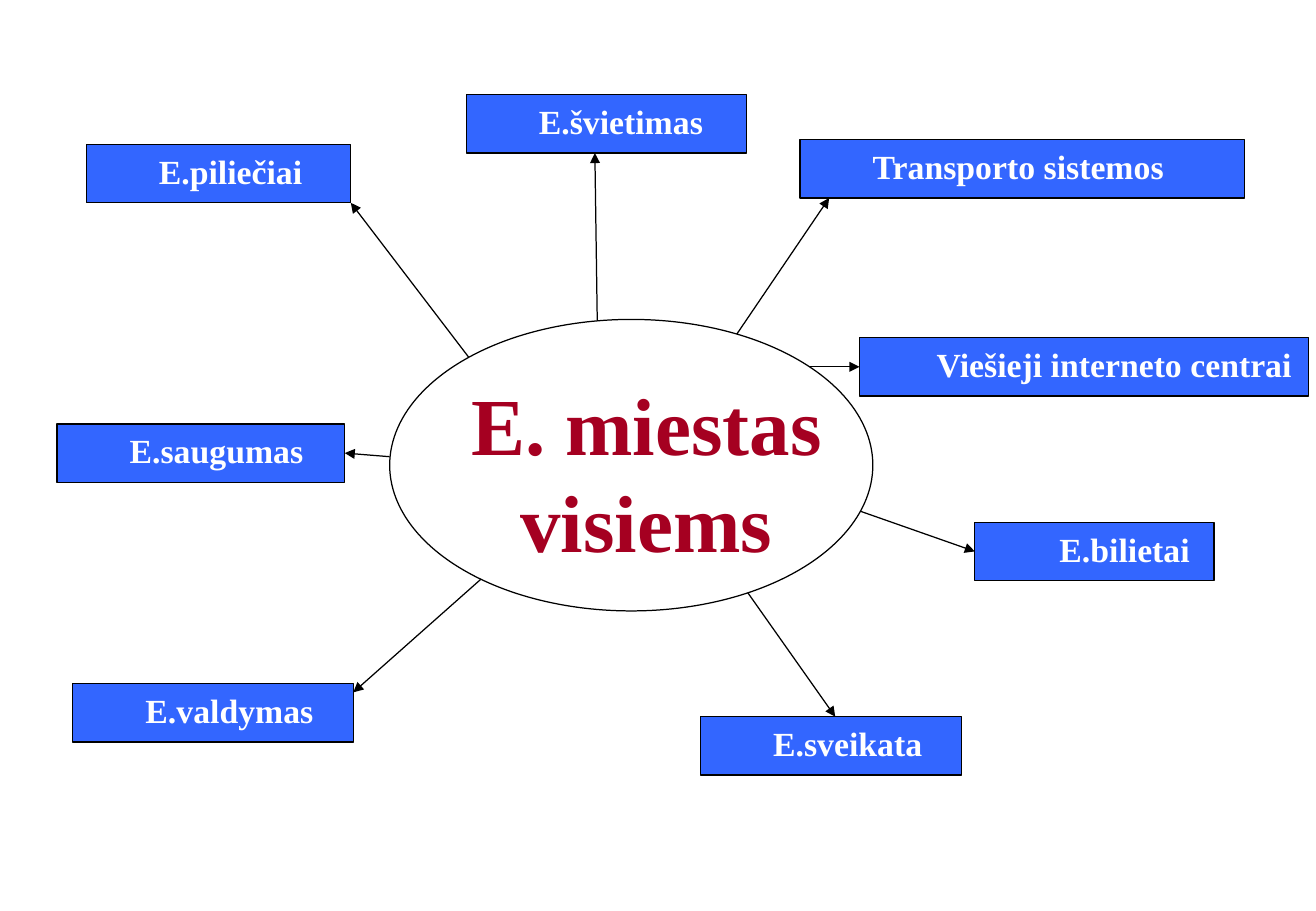
"""Builds a mind map of the services of an e-city."""
import pptx
import pptx.util
import pptx.dml.color
import pptx.enum.shapes
import pptx.enum.text
import pptx.oxml
import pptx.oxml.ns

Inches, Pt = pptx.util.Inches, pptx.util.Pt
Align = pptx.enum.text.PP_ALIGN
Shape = pptx.enum.shapes.MSO_SHAPE
COLORS = {"box": "3366FF", "line": "000000", "text": "FFFFFF", "title": "A50021"}
FONT = "Times New Roman"
HIGH = 0.48
TOPICS = [
    ("E.piliečiai", 0.71, 1.19, 2.18, Align.LEFT),
    ("Transporto sistemos", 6.59, 1.15, 3.66, Align.LEFT),
    ("E.sveikata", 5.77, 5.9, 2.15, Align.LEFT),
    ("E.bilietai", 8.03, 4.3, 1.97, Align.CENTER),
    ("Viešieji interneto centrai", 7.08, 2.78, 3.7, Align.CENTER),
    ("E.valdymas", 0.6, 5.63, 2.31, Align.LEFT),
    ("E.švietimas", 3.84, 0.78, 2.31, Align.LEFT),
    ("E.saugumas", 0.47, 3.49, 2.37, Align.LEFT),
]
ARROWS = [
    (3.86, 2.94, 2.89, 1.67),
    (3.96, 4.77, 2.91, 5.7),
    (6.16, 4.88, 6.88, 5.9),
    (6.07, 2.75, 6.83, 1.63),
    (6.67, 3.02, 7.08, 3.02),
    (7.09, 4.21, 8.03, 4.54),
    (4.92, 2.64, 4.9, 1.26),
    (3.21, 3.76, 2.84, 3.73),
]


def color(name):
    return pptx.dml.color.RGBColor.from_string(COLORS[name])


def style(para, size, name, align):
    props = para._p.get_or_add_pPr()
    props.set("marL", str(Inches(0.5)))
    props.set("indent", "0")
    para.alignment = align
    para.font.name = FONT
    para.font.size = Pt(size)
    para.font.bold = True
    para.font.color.rgb = color(name)


def outline(item):
    item.line.color.rgb = color("line")
    item.line.width = Pt(0.75)


def add_topic(slide, text, left, top, width, align):
    box = slide.shapes.add_shape(
        Shape.RECTANGLE, Inches(left), Inches(top), Inches(width), Inches(HIGH))
    box.shadow.inherit = False
    box.fill.solid()
    box.fill.fore_color.rgb = color("box")
    outline(box)
    frame = box.text_frame
    frame.word_wrap = True
    frame.vertical_anchor = pptx.enum.text.MSO_ANCHOR.TOP
    frame.text = text
    style(frame.paragraphs[0], 20, "text", align)


def add_hub(slide):
    hub = slide.shapes.add_shape(
        Shape.OVAL, Inches(3.21), Inches(2.63), Inches(3.98), Inches(2.4))
    hub.shadow.inherit = False
    hub.fill.background()
    outline(hub)


def add_arrow(slide, *ends):
    arrow = slide.shapes.add_connector(
        pptx.enum.shapes.MSO_CONNECTOR.STRAIGHT, *map(Inches, ends))
    outline(arrow)
    tail = pptx.oxml.ns.qn("a:tailEnd")
    arrow.line._get_or_add_ln().append(
        arrow._element.makeelement(tail, {"type": "triangle"}))
    effect = pptx.oxml.ns.qn("a:effectLst")
    arrow._element.spPr.append(arrow._element.makeelement(effect, {}))


def set_title(slide):
    title = slide.shapes.title
    title.left, title.top = Inches(3.28), Inches(3.03)
    title.width, title.height = Inches(3.59), Inches(2.83)
    frame = title.text_frame
    frame.word_wrap = True
    frame.auto_size = pptx.enum.text.MSO_AUTO_SIZE.NONE
    frame.vertical_anchor = pptx.enum.text.MSO_ANCHOR.TOP
    frame.margin_top = Inches(0.05)
    frame.text = "E. miestas\nvisiems"
    for para in frame.paragraphs:
        style(para, 48, "title", Align.CENTER)


def main():
    deck = pptx.Presentation()
    deck.slide_width, deck.slide_height = Inches(10.84), Inches(7.5)
    slide = deck.slides.add_slide(deck.slide_layouts[5])
    set_title(slide)
    add_hub(slide)
    for topic in TOPICS:
        add_topic(slide, *topic)
    for ends in ARROWS:
        add_arrow(slide, *ends)
    deck.save("out.pptx")


if __name__ == "__main__":
    main()
